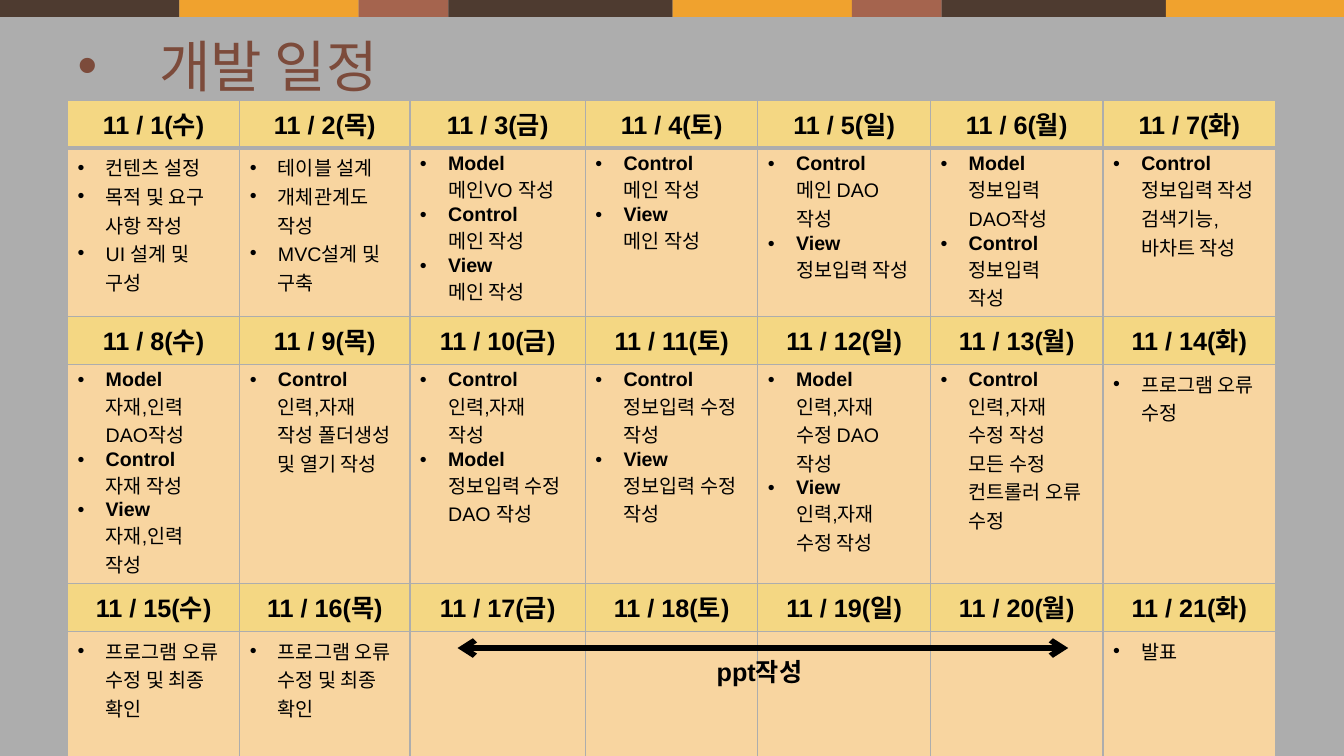
from lxml import etree
from pptx import Presentation
from pptx.dml.color import RGBColor
from pptx.enum.shapes import MSO_CONNECTOR as Connector, MSO_SHAPE as Shape
from pptx.enum.text import MSO_ANCHOR as Anchor, PP_ALIGN as Align
from pptx.oxml.ns import qn
from pptx.util import Cm, Pt

GRAY = RGBColor(0xAD, 0xAD, 0xAD)
ORANGE = RGBColor(0xF0, 0xA2, 0x2E)
BROWN = RGBColor(0x4E, 0x3B, 0x30)
RUST = RGBColor(0xA5, 0x64, 0x4E)
TITLE_BROWN = RGBColor(0x7C, 0x4B, 0x3B)
DATE_YELLOW = RGBColor(0xF4, 0xD7, 0x83)
TASK_PEACH = RGBColor(0xF8, 0xD5, 0xA0)
BLACK = RGBColor(0, 0, 0)

WEEKDAYS = "수목금토일월화"
# One list per day; a task is plain text or a (part, work) pair.
WEEKS = [
    [
        ["컨텐츠 설정", "목적 및 요구 사항 작성", "UI 설계 및 구성"],
        ["테이블 설계", "개체관계도 작성", "MVC설계 및 구축"],
        [("Model", "메인VO 작성"), ("Control", "메인 작성"), ("View", "메인 작성")],
        [("Control", "메인 작성"), ("View", "메인 작성")],
        [("Control", "메인 DAO\n작성"), ("View", "정보입력 작성")],
        [("Model", "정보입력\nDAO작성"), ("Control", "정보입력\n작성")],
        [("Control", "정보입력 작성\n검색기능,\n바차트 작성")],
    ],
    [
        [("Model", "자재,인력\nDAO작성"), ("Control", "자재 작성"),
         ("View", "자재,인력\n작성")],
        [("Control", "인력,자재\n작성 폴더생성\n및 열기 작성")],
        [("Control", "인력,자재\n작성"), ("Model", "정보입력 수정\nDAO 작성")],
        [("Control", "정보입력 수정\n작성"), ("View", "정보입력 수정\n작성")],
        [("Model", "인력,자재\n수정 DAO\n작성"), ("View", "인력,자재\n수정 작성")],
        [("Control", "인력,자재\n수정 작성\n모든 수정\n컨트롤러 오류\n수정")],
        ["프로그램 오류 수정"],
    ],
    [
        ["프로그램 오류 수정 및 최종 확인"], ["프로그램 오류 수정 및 최종 확인"],
        [], [], [], [], ["발표"],
    ],
]


def write(para, text, size=14, bold=False, color=BLACK, align=Align.LEFT, indent=None):
    """Add text to a paragraph, with a hanging bullet if indent (cm) is given."""
    para.alignment = align
    if indent:
        props = para._p.get_or_add_pPr()
        props.set("marL", str(Cm(indent)))
        props.set("indent", str(-Cm(indent)))
        etree.SubElement(props, qn("a:buFont"), typeface="Arial")
        etree.SubElement(props, qn("a:buChar"), char="•")
    for index, line in enumerate(text.split("\n")):
        if index:
            para.add_line_break()
            etree.SubElement(para._p[-1], qn("a:rPr"), sz=str(size * 100))
        if line:
            span = para.add_run()
            span.text = line
            span.font.name = "Arial"
            span.font.size = Pt(size)
            span.font.bold = bold
            span.font.color.rgb = color


def style_cell(cell, color, bottom=1):
    """Give a cell its fill and gray borders; bottom is a width in points."""
    props = cell._tc.get_or_add_tcPr()
    for side, width in (("L", 1), ("R", 1), ("T", 1), ("B", bottom)):
        border = etree.SubElement(props, qn(f"a:ln{side}"), w=str(Pt(width)))
        fill = etree.SubElement(border, qn("a:solidFill"))
        etree.SubElement(fill, qn("a:srgbClr"), val=str(GRAY))
    cell.fill.solid()
    cell.fill.fore_color.rgb = color


deck = Presentation()
deck.slide_width, deck.slide_height = Cm(33.87), Cm(19.05)
page = deck.slides.add_slide(deck.slide_layouts[5])
page.background.fill.solid()
page.background.fill.fore_color.rgb = GRAY

# Colour strip along the top
strip = [(BROWN, 4.52), (ORANGE, 4.52), (RUST, 2.26), (BROWN, 5.65),
         (ORANGE, 4.52), (RUST, 2.26), (BROWN, 5.65), (ORANGE, 4.49)]
left = 0
for color, width in strip:
    bar = page.shapes.add_shape(Shape.RECTANGLE, Cm(left), 0, Cm(width), Cm(0.43))
    bar.shadow.inherit = False
    bar.fill.solid()
    bar.fill.fore_color.rgb = color
    bar.line.fill.background()
    left += width

# Title
title = page.shapes.title
title.left, title.top, title.width, title.height = Cm(1.7), Cm(0.74), Cm(30.48), Cm(1.78)
title.text_frame.vertical_anchor = Anchor.MIDDLE
write(title.text_frame.paragraphs[0], "개발 일정", size=40, color=TITLE_BROWN, indent=2.06)

# Three-week calendar: a row of dates above a row of tasks for each week
frame = page.shapes.add_table(6, 7, Cm(1.7), Cm(2.52), Cm(30.45), Cm(16.2))
calendar = frame.table
for column, width in zip(calendar.columns, [4.34, 4.29, 4.42] + [4.35] * 4):
    column.width = Cm(width)
for row, height in zip(calendar.rows, [1.21, 4.22, 1.2, 4.22, 1.21, 3.96]):
    row.height = Cm(height)

for week, days in enumerate(WEEKS):
    for weekday, tasks in enumerate(days):
        date_cell = calendar.cell(2 * week, weekday)
        style_cell(date_cell, DATE_YELLOW, bottom=1 if week else 3)
        write(date_cell.text_frame.paragraphs[0],
              f"11 / {7 * week + weekday + 1}({WEEKDAYS[weekday]})",
              size=18, bold=True, align=Align.CENTER)

        task_cell = calendar.cell(2 * week + 1, weekday)
        style_cell(task_cell, TASK_PEACH)
        for index, task in enumerate(tasks):
            body = task_cell.text_frame
            para = body.add_paragraph() if index else body.paragraphs[0]
            if isinstance(task, tuple):
                part, work = task
                write(para, part, bold=True, indent=0.71)
                write(para, "\n" + work)
            else:
                write(para, task, indent=0.71)

# Span of the days spent on the slides
arrow = page.shapes.add_connector(Connector.STRAIGHT, Cm(11.53), Cm(16.33), Cm(26.92), Cm(16.33))
arrow.line.color.rgb = BLACK
arrow.line.width = Pt(4)
outline = arrow.line._get_or_add_ln()
for end in ("a:headEnd", "a:tailEnd"):
    etree.SubElement(outline, qn(end), type="arrow")
etree.SubElement(arrow._element.spPr, qn("a:effectLst"))

label = page.shapes.add_textbox(Cm(15.14), Cm(15.93), Cm(8), Cm(2)).text_frame
label.word_wrap = True
label.vertical_anchor = Anchor.MIDDLE
write(label.paragraphs[0], "ppt작성", size=18, bold=True, align=Align.CENTER)

deck.save("out.pptx")
